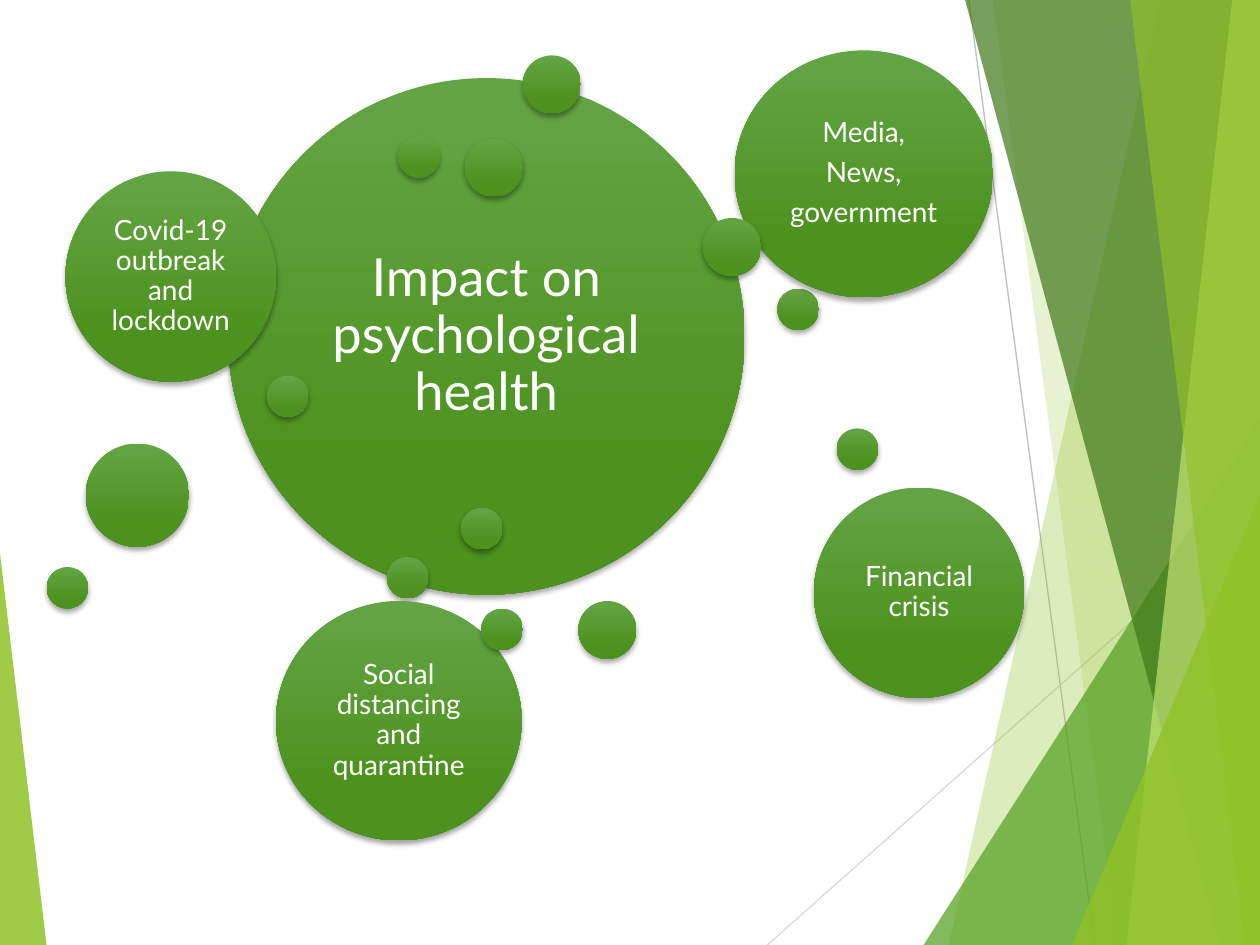
from lxml.etree import SubElement
from pptx import Presentation
from pptx.dml.color import RGBColor
from pptx.enum.shapes import MSO_CONNECTOR, MSO_SHAPE
from pptx.enum.text import MSO_ANCHOR, PP_ALIGN
from pptx.oxml.ns import qn
from pptx.util import Inches, Pt

WHITE = RGBColor(0xFF, 0xFF, 0xFF)
LIME = RGBColor(0x90, 0xC2, 0x26)
PALE_LIME = RGBColor(0xC0, 0xE4, 0x74)
LEAF = RGBColor(0x54, 0xA0, 0x21)
FOREST = RGBColor(0x3F, 0x78, 0x19)
BUBBLE_TOP = RGBColor(0x63, 0xA5, 0x45)
BUBBLE_BOTTOM = RGBColor(0x4D, 0x92, 0x1E)
GREY = RGBColor(0xBF, 0xBF, 0xBF)
LIGHT_GREY = RGBColor(0xD9, 0xD9, 0xD9)

FONT = "Lato"
TINY, SMALL, MEDIUM, LARGE = 0.33, 0.46, 0.82, 1.67

BUBBLES = [
    (1.44, 0.22, 4.1, 4.1, "Impact on psychological health", 30),
    (3.78, 0.04, SMALL, SMALL, "", 0),
    (2.7, 4.02, TINY, TINY, "", 0),
    (5.8, 1.89, TINY, TINY, "", 0),
    (4.22, 4.37, SMALL, SMALL, "", 0),
    (2.79, 0.68, TINY, TINY, "", 0),
    (1.75, 2.58, TINY, TINY, "", 0),
    (0.15, 0.96, LARGE, LARGE, "Covid-19 outbreak and lockdown", 16),
    (3.32, 0.7, SMALL, SMALL, "", 0),
    (0.31, 3.12, MEDIUM, MEDIUM, "", 0),
    (5.46, 0, 2.05, 1.96, "Media,\nNews,\ngovernment", 16),
    (5.21, 1.33, SMALL, SMALL, "", 0),
    (0, 4.1, TINY, TINY, "", 0),
    (3.29, 3.63, TINY, TINY, "", 0),
    (6.09, 3.47, LARGE, LARGE, "Financial crisis", 16),
    (6.27, 3, TINY, TINY, "", 0),
    (1.82, 4.37, 1.95, 1.9, "Social distancing and quarantine", 16),
    (3.45, 4.43, TINY, TINY, "", 0),
]


def tint(shape, color, opacity):
    """Give a shape a translucent fill without line or shadow."""
    shape.shadow.inherit = False
    shape.line.fill.background()
    shape.fill.solid()
    shape.fill.fore_color.rgb = color
    color_element = shape._element.spPr.find(qn("a:solidFill"))[0]
    SubElement(color_element, qn("a:alpha"), val=str(opacity * 1000))


def add_triangle(slide, left, top, width, height, apex, color, opacity):
    """Add a right triangle whose apex is at the left (0) or right (1)."""
    triangle = slide.shapes.add_shape(
        MSO_SHAPE.ISOSCELES_TRIANGLE,
        Inches(left), Inches(top), Inches(width), Inches(height))
    triangle.adjustments[0] = apex
    tint(triangle, color, opacity)


def add_ray(slide, start, end, color):
    """Add a thin straight line between two points."""
    ray = slide.shapes.add_connector(
        MSO_CONNECTOR.STRAIGHT, *map(Inches, start + end))
    ray.line.color.rgb = color
    ray.line.width = Pt(0.75)
    SubElement(ray._element.spPr, qn("a:effectLst"))


def add_facets(slide, left, top, width, height):
    """Layer translucent facets against the right edge of the box."""
    right, bottom = left + width, top + height

    def add_band(top_width, bottom_width, color, opacity):
        """Add a slanted band reaching the right edge."""
        builder = slide.shapes.build_freeform(
            Inches(right - top_width), Inches(top), scale=1.0)
        corners = [(right, top), (right, bottom), (right - bottom_width, bottom)]
        builder.add_line_segments([(Inches(x), Inches(y)) for x, y in corners])
        tint(builder.convert_to_shape(), color, opacity)

    def add_wedge(wedge_width, wedge_height, color, opacity):
        """Add a triangle in the bottom right corner."""
        add_triangle(slide, right - wedge_width, bottom - wedge_height,
                     wedge_width, wedge_height, 1, color, opacity)

    add_ray(slide, (right - 2.31, top), (right - 1.31, bottom), GREY)
    add_ray(slide, (right, top + 4.03), (left, bottom), LIGHT_GREY)
    add_band(0.79, 2.47, LIME, 30)
    add_band(2.12, 1.13, LIME, 20)
    add_wedge(2.67, 4.17, LEAF, 72)
    add_band(2.34, 0.32, FOREST, 70)
    add_band(0.22, 1.06, PALE_LIME, 70)
    add_band(1.03, 0.12, LIME, 65)
    add_wedge(1.49, 3.57, LIME, 80)


def add_label(shape, label, size):
    """Write a centred label inside a bubble."""
    frame = shape.text_frame
    frame.text = label
    frame.word_wrap = True
    frame.vertical_anchor = MSO_ANCHOR.MIDDLE
    inset = Pt(size * 0.3)
    frame.margin_left = frame.margin_right = inset
    frame.margin_top = frame.margin_bottom = inset
    for paragraph in frame.paragraphs:
        paragraph.alignment = PP_ALIGN.CENTER
        paragraph.line_spacing = 0.9
        paragraph.space_after = Pt(size * 0.35)
        for run in paragraph.runs:
            run.font.name = FONT
            run.font.size = Pt(size)
            run.font.color.rgb = WHITE


def add_bubble(slide, left, top, width, height):
    """Add a shaded ellipse with a soft shadow below it."""
    bubble = slide.shapes.add_shape(
        MSO_SHAPE.OVAL, Inches(left), Inches(top), Inches(width), Inches(height))
    bubble.fill.gradient()
    bubble.fill.gradient_angle = 270
    stops = [(0, BUBBLE_TOP), (0.78, BUBBLE_BOTTOM)]
    for stop, (position, color) in zip(bubble.fill.gradient_stops, stops):
        stop.position = position
        stop.color.rgb = color
    bubble.line.fill.background()
    bubble.shadow.inherit = False
    effects = bubble._element.spPr.find(qn("a:effectLst"))
    shadow = SubElement(effects, qn("a:outerShdw"), blurRad=str(Pt(3)),
                        dist=str(Pt(2)), dir="5400000", rotWithShape="0")
    shadow_color = SubElement(shadow, qn("a:srgbClr"), val="000000")
    SubElement(shadow_color, qn("a:alpha"), val="35000")
    return bubble


def add_bubble_diagram(slide, left, top):
    """Place every bubble relative to the diagram's top left corner."""
    for x, y, width, height, label, size in BUBBLES:
        bubble = add_bubble(slide, left + x, top + y, width, height)
        if label:
            add_label(bubble, label, size)


def main():
    """Build and save the slide."""
    presentation = Presentation()
    presentation.slide_width = Inches(10)
    presentation.slide_height = Inches(7.5)
    slide = presentation.slides.add_slide(presentation.slide_layouts[6])
    slide.background.fill.solid()
    slide.background.fill.fore_color.rgb = WHITE
    add_facets(slide, 6.09, 0, 3.91, 7.5)
    add_triangle(slide, 0, 4.39, 0.37, 3.11, 0, LIME, 85)
    add_bubble_diagram(slide, 0.37, 0.4)
    presentation.save("out.pptx")


if __name__ == "__main__":
    main()
